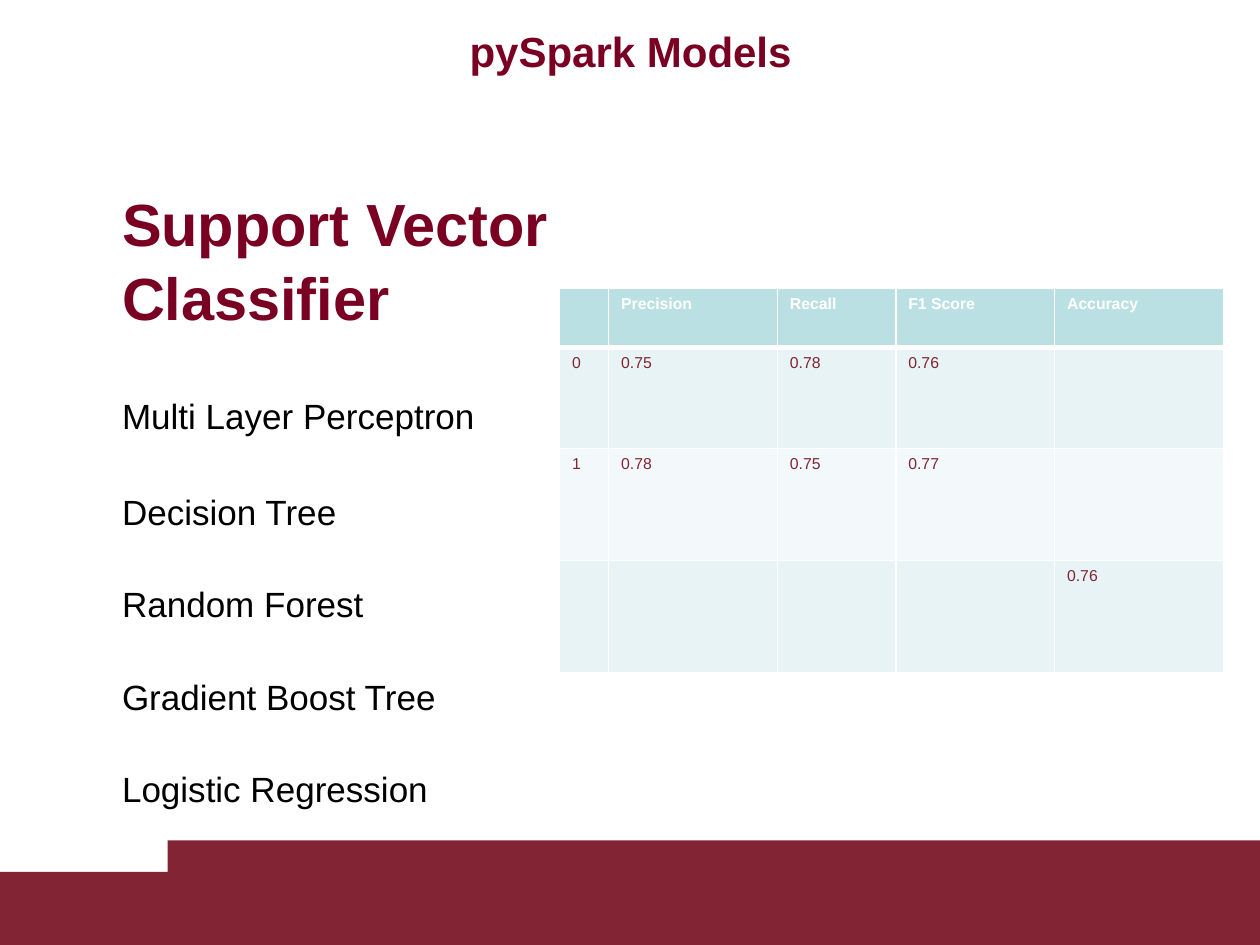
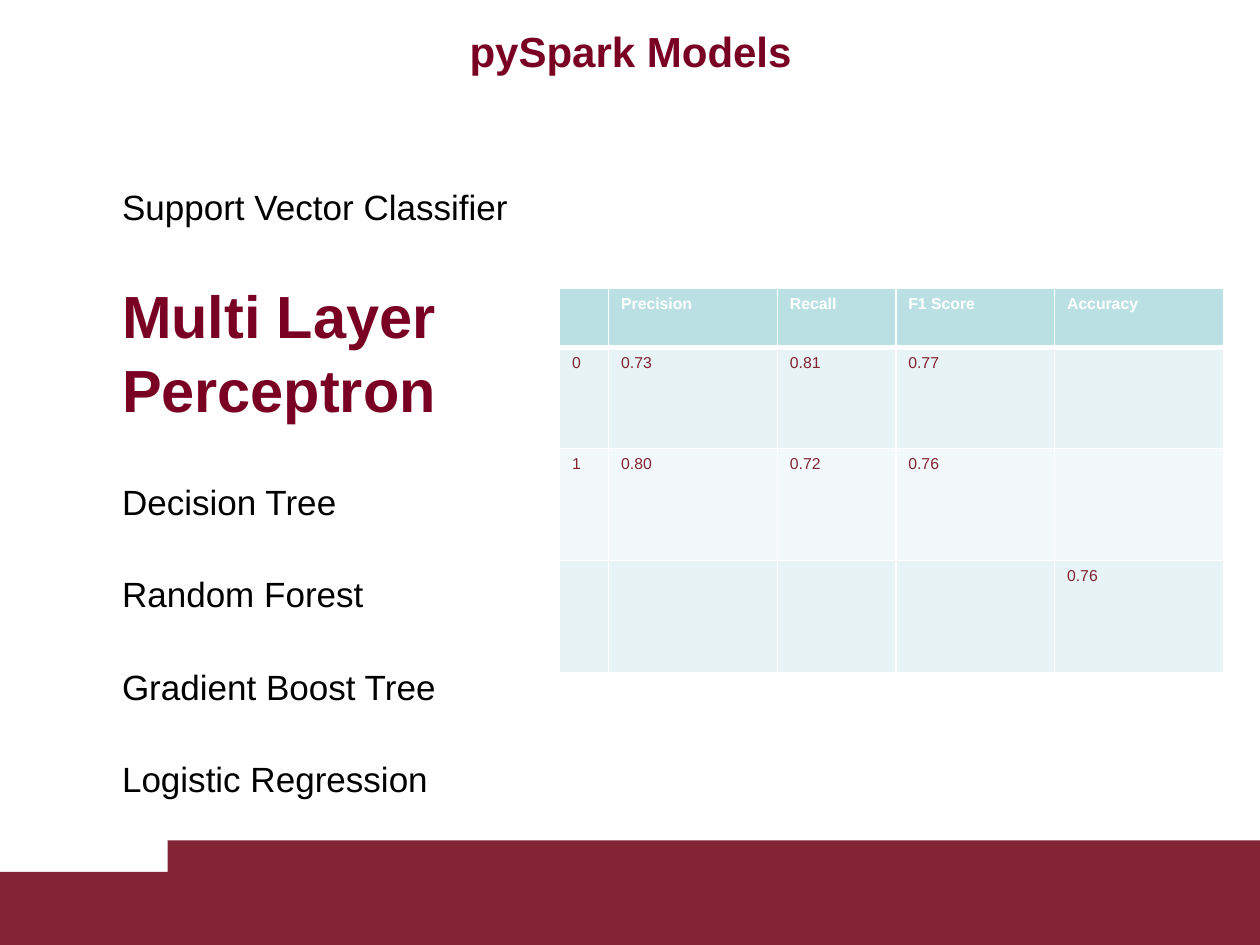
from lxml.etree import SubElement
from pptx import Presentation
from pptx.dml.color import RGBColor
from pptx.enum.shapes import MSO_SHAPE
from pptx.enum.text import MSO_ANCHOR, PP_ALIGN
from pptx.oxml.ns import qn
from pptx.util import Inches, Pt

COLORS = {
    "band": "822433",
    "accent": "790022",
    "text": "000000",
    "white": "FFFFFF",
    "header": "BBE0E3",
    "odd": "E7F3F4",
    "even": "F3F9FA",
}
FONT = "Arial"
TITLE = "pySpark Models"
MODELS = [
    "Support Vector Classifier",
    "Multi Layer Perceptron",
    "Decision Tree",
    "Random Forest",
    "Gradient Boost Tree",
    "Logistic Regression",
]
HEADER = ["", "Precision", "Recall", "F1 Score", "Accuracy"]
SLIDES = [
    {
        "model": "Support Vector Classifier",
        "width": 4.61,
        "tops": [1.39, 3.05, 3.81, 4.54, 5.28, 6.01],
        "scores": [
            ["0", "0.75", "0.78", "0.76", ""],
            ["1", "0.78", "0.75", "0.77", ""],
            ["", "", "", "", "0.76"],
        ],
    },
    {
        "model": "Multi Layer Perceptron",
        "width": 3.58,
        "tops": [1.39, 2.12, 3.73, 4.46, 5.2, 5.93],
        "scores": [
            ["0", "0.73", "0.81", "0.77", ""],
            ["1", "0.80", "0.72", "0.76", ""],
            ["", "", "", "", "0.76"],
        ],
    },
]
BANDS = [(0, 6.92, 10, 0.58), (1.33, 6.67, 8.67, 0.83)]
COLUMN_WIDTHS = [0.39, 1.34, 0.94, 1.26, 1.34]
ROW_HEIGHTS = [0.47, 0.8, 0.89, 0.89]


def color(name):
    return RGBColor.from_string(COLORS[name])


def write(frame, text, size=20, ink="text", bold=False, align=PP_ALIGN.LEFT, line_spacing=None):
    para = frame.paragraphs[0]
    para.alignment = align
    para.line_spacing = line_spacing
    para.font.size = Pt(size)
    if text:
        span = para.add_run()
        span.text = text
        span.font.name = FONT
        span.font.size = Pt(size)
        span.font.bold = bold
        span.font.color.rgb = color(ink)


def add_text(page, text, place, anchor=MSO_ANCHOR.TOP, top_inset=0.05, **style):
    box = page.shapes.add_textbox(*map(Inches, place))
    frame = box.text_frame
    frame.word_wrap = True
    frame.vertical_anchor = anchor
    frame.margin_top = Inches(top_inset)
    write(frame, text, **style)


def add_bands(page):
    for place in BANDS:
        band = page.shapes.add_shape(MSO_SHAPE.RECTANGLE, *map(Inches, place))
        band.shadow.inherit = False
        band.fill.solid()
        band.fill.fore_color.rgb = color("band")
        band.line.fill.background()


def add_models(page, slide):
    for model, top in zip(MODELS, slide["tops"]):
        if model == slide["model"]:
            width = slide["width"]
            style = {"size": 34, "ink": "accent", "bold": True}
        else:
            width, style = 3.58, {}
        add_text(page, model, (0.87, top, width, 0.5), top_inset=0.07, line_spacing=1.04, **style)


def set_borders(cell, **widths):
    properties = cell._tc.get_or_add_tcPr()
    for side in "LRTB":
        line = SubElement(properties, qn(f"a:ln{side}"), w=str(Pt(widths.get(side, 1))))
        fill = SubElement(line, qn("a:solidFill"))
        SubElement(fill, qn("a:srgbClr"), val=COLORS["white"])


def add_scores(page, scores):
    rows = [HEADER] + scores
    size = (sum(COLUMN_WIDTHS), sum(ROW_HEIGHTS))
    frame = page.shapes.add_table(len(rows), len(HEADER), *map(Inches, (4.44, 2.29, *size)))
    table = frame.table
    for column, width in zip(table.columns, COLUMN_WIDTHS):
        column.width = Inches(width)
    for index, (values, height) in enumerate(zip(rows, ROW_HEIGHTS)):
        table.rows[index].height = Inches(height)
        is_header = index == 0
        shade = "header" if is_header else "odd" if index % 2 else "even"
        borders = {0: {"B": 3}, 1: {"T": 3}}.get(index, {})
        for number, value in enumerate(values):
            cell = table.cell(index, number)
            set_borders(cell, **borders)
            cell.fill.solid()
            cell.fill.fore_color.rgb = color(shade)
            write(cell.text_frame, value, size=9, ink="white" if is_header else "band", bold=is_header)


def main():
    deck = Presentation()
    deck.slide_width, deck.slide_height = Inches(10), Inches(7.5)
    for slide in SLIDES:
        page = deck.slides.add_slide(deck.slide_layouts[6])
        add_bands(page)
        add_text(page, TITLE, (0.87, 0.13, 8.27, 0.55), anchor=MSO_ANCHOR.MIDDLE,
                 size=24, ink="accent", bold=True, align=PP_ALIGN.CENTER)
        add_models(page, slide)
        add_scores(page, slide["scores"])
    deck.save("out.pptx")


if __name__ == "__main__":
    main()
